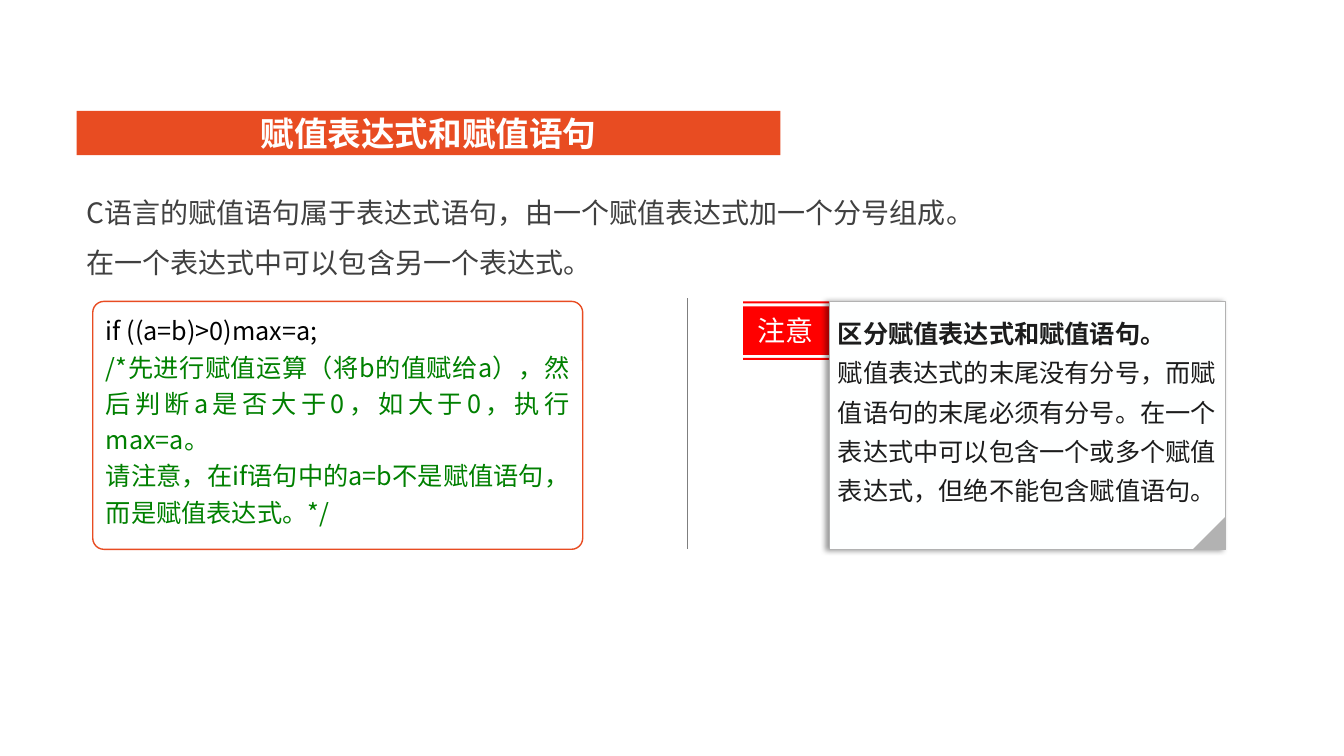
from lxml.etree import SubElement
from pptx import Presentation
from pptx.dml.color import RGBColor
from pptx.enum.shapes import MSO_CONNECTOR, MSO_SHAPE
from pptx.enum.text import MSO_ANCHOR as Anchor, MSO_AUTO_SIZE as AutoSize, PP_ALIGN as Align
from pptx.oxml.ns import qn
from pptx.util import Pt

PX = 9144  # EMU in one px, 100 px to the inch
FONT = "Noto Sans CJK SC"
ORANGE, RED, GRAY = "E84C22", "FF0000", "B2B2B2"
WHITE, PAPER = "FFFFFF", "FEFFFF"


def emu(*lengths):
    return [length * PX for length in lengths]


def color(hex_code):
    return RGBColor.from_string(hex_code)


def paint(shape, fill, line=None, line_width=1):
    shape.shadow.inherit = False
    shape.fill.solid()
    shape.fill.fore_color.rgb = color(fill)
    if line:
        shape.line.color.rgb = color(line)
        shape.line.width = Pt(line_width)
    else:
        shape.line.fill.background()


def add_box(slide, kind, box, fill, line=None, line_width=1):
    shape = slide.shapes.add_shape(kind, *emu(*box))
    paint(shape, fill, line, line_width)
    return shape


def write(shape, lines, size, align=Align.LEFT, spacing=1.0, anchor=Anchor.TOP, insets=(10, 5)):
    """Fill a shape with paragraphs given as (text, colour, bold)."""
    frame = shape.text_frame
    frame.word_wrap = True
    frame.vertical_anchor = anchor
    frame.margin_left = frame.margin_right = insets[0] * PX
    frame.margin_top = frame.margin_bottom = insets[1] * PX
    for index, (text, text_color, bold) in enumerate(lines):
        paragraph = frame.add_paragraph() if index else frame.paragraphs[0]
        paragraph.text = text
        paragraph.alignment = align
        paragraph.line_spacing = spacing
        font = paragraph.font
        font.size = Pt(size)
        font.bold = bold
        font.color.rgb = color(text_color)
        font.name = FONT
        SubElement(font._element, qn("a:ea"), typeface=FONT)


def add_left_shadow(shape):
    effects = shape._element.spPr.find(qn("a:effectLst"))
    shadow = SubElement(effects, qn("a:outerShdw"), blurRad=str(Pt(4)), dist=str(Pt(3)),
                        dir="10800000", algn="r", rotWithShape="0")
    shade = SubElement(shadow, qn("a:srgbClr"), val="000000")
    SubElement(shade, qn("a:alpha"), val="40000")


def add_striped_tag(slide, left, right, bands):
    """Draw one outline made of horizontal bands given as (top, bottom)."""
    builder = None
    for top, bottom in bands:
        if builder is None:
            builder = slide.shapes.build_freeform(left, top, scale=PX)
        else:
            builder.move_to(left, top)
        builder.add_line_segments([(right, top), (right, bottom), (left, bottom)], close=True)
    tag = builder.convert_to_shape()
    paint(tag, RED)
    return tag


def add_divider(slide, x, top, bottom):
    divider = slide.shapes.add_connector(MSO_CONNECTOR.STRAIGHT, *emu(x, top, x, bottom))
    divider.line.color.rgb = color("7F7F7F")
    divider.line.width = Pt(0.5)
    SubElement(divider._element.spPr, qn("a:effectLst"))


def main():
    presentation = Presentation()
    presentation.slide_width, presentation.slide_height = emu(1333, 750)
    slide = presentation.slides.add_slide(presentation.slide_layouts[6])

    title = add_box(slide, MSO_SHAPE.RECTANGLE, (76, 110, 698, 44), ORANGE)
    write(title, [("赋值表达式和赋值语句", WHITE, True)], 24,
          Align.CENTER, anchor=Anchor.MIDDLE, insets=(0, 0))

    intro = slide.shapes.add_textbox(*emu(76, 172, 1045, 111))
    write(intro, [
        ("C语言的赋值语句属于表达式语句，由一个赋值表达式加一个分号组成。", "404040", False),
        ("在一个表达式中可以包含另一个表达式。", "404040", False),
    ], 20, spacing=1.5)
    intro.text_frame.auto_size = AutoSize.SHAPE_TO_FIT_TEXT

    code = add_box(slide, MSO_SHAPE.ROUNDED_RECTANGLE, (92, 299, 486, 246), WHITE, ORANGE)
    code.adjustments[0] = 0.045
    write(code, [
        ("if ((a=b)>0)max=a;", "000000", False),
        ("/*先进行赋值运算（将b的值赋给a），然后判断a是否大于0，如大于0，执行max=a。",
         "008000", False),
        ("请注意，在if语句中的a=b不是赋值语句，而是赋值表达式。*/", "008000", False),
    ], 18, Align.JUSTIFY, 1.2)

    tag = add_striped_tag(slide, 737, 822, [(355, 357), (304, 352), (299, 301)])
    write(tag, [("注意", PAPER, False)], 20, Align.CENTER, anchor=Anchor.MIDDLE)

    note = add_box(slide, MSO_SHAPE.RECTANGLE, (823, 299, 393, 246), PAPER, GRAY, 0.75)
    add_left_shadow(note)
    write(note, [
        ("区分赋值表达式和赋值语句。", "1C1C1C", True),
        ("赋值表达式的末尾没有分号，而赋值语句的末尾必须有分号。"
         "在一个表达式中可以包含一个或多个赋值表达式，但绝不能包含赋值语句。", "1C1C1C", False),
    ], 18, spacing=1.3, insets=(8, 8))

    folded_corner = add_box(slide, MSO_SHAPE.RIGHT_TRIANGLE, (1183, 512, 33, 33), GRAY)
    folded_corner.rotation = 270
    add_divider(slide, 682, 296, 545)

    presentation.save("out.pptx")


if __name__ == "__main__":
    main()
